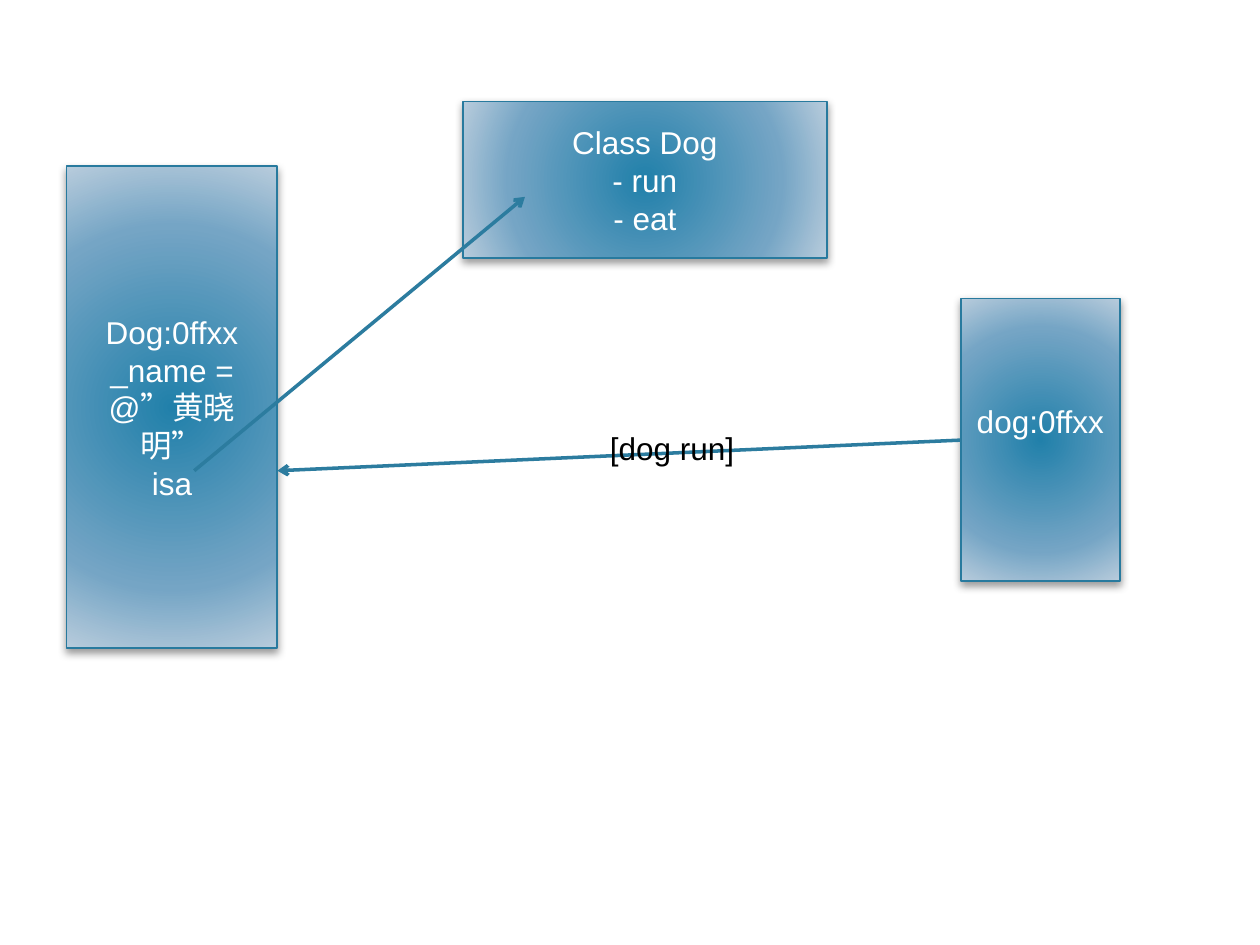
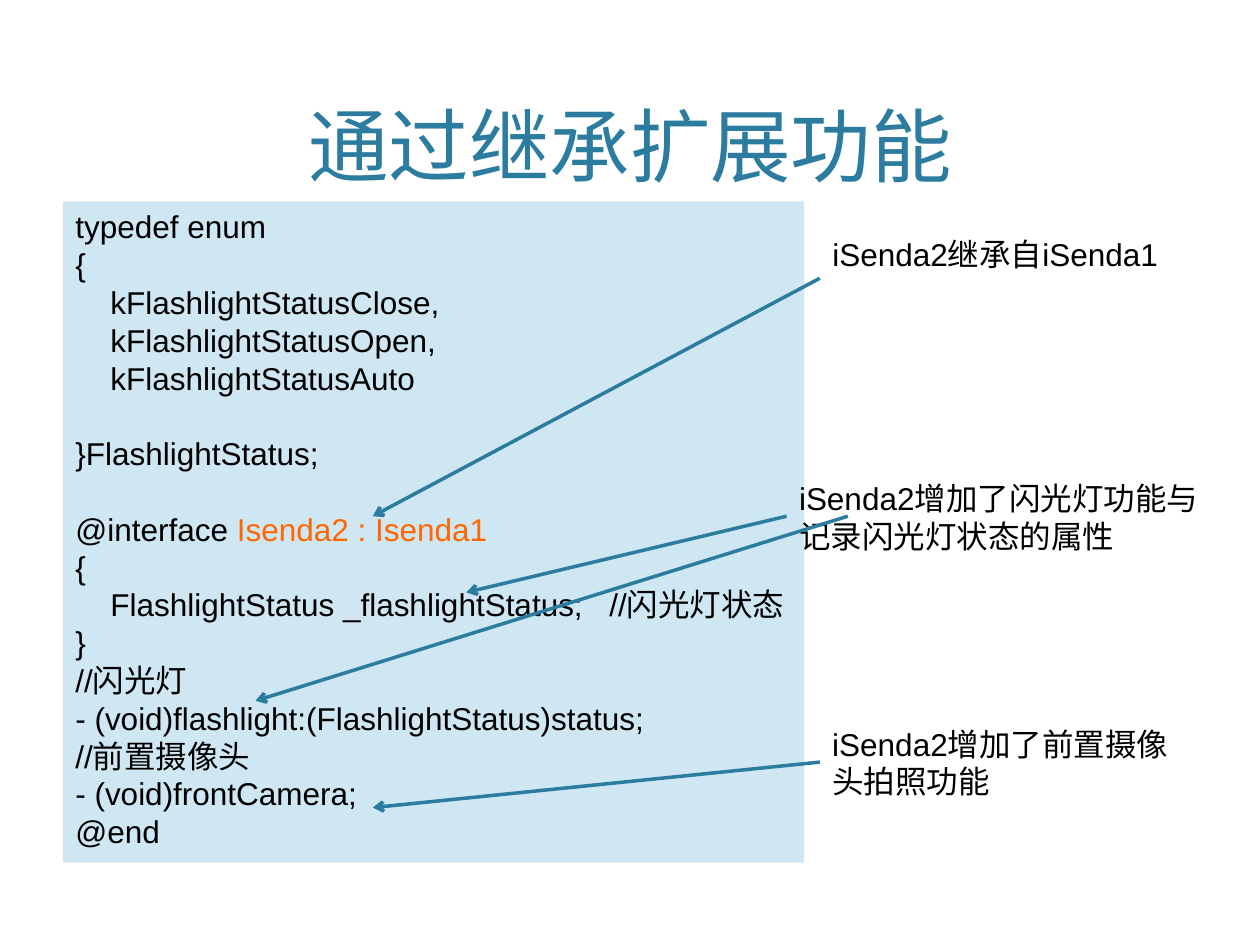
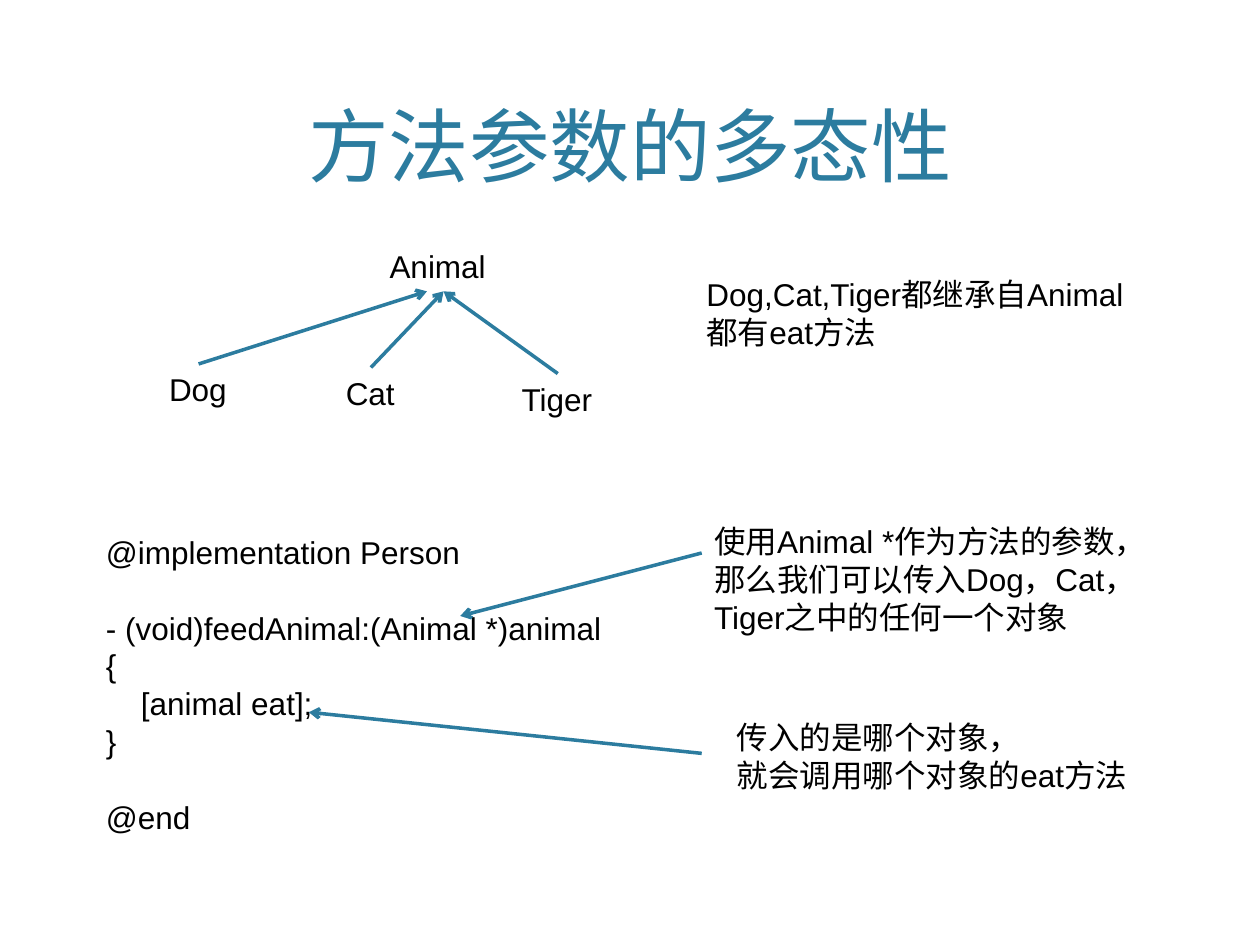
from dataclasses import dataclass

from pptx import Presentation
from pptx.dml.color import RGBColor
from pptx.enum.shapes import MSO_CONNECTOR, MSO_SHAPE
from pptx.enum.text import MSO_ANCHOR, MSO_AUTO_SIZE, PP_ALIGN
from pptx.oxml import parse_xml
from pptx.oxml.ns import nsdecls
from pptx.oxml.xmlchemy import OxmlElement
from pptx.util import Pt

# Shared style
FONT = "Arial"
TEXT_SIZE = 18
TITLE_SIZE = 46
LINE_HEIGHT = 21.6
CODE_INDENT = 20
COMMENT_GAP = 10

BLACK = RGBColor(0x00, 0x00, 0x00)
WHITE = RGBColor(0xFF, 0xFF, 0xFF)
TEAL = RGBColor(0x2C, 0x7C, 0x9F)
BOX_EDGE = RGBColor(0x28, 0x7A, 0x9E)
PANEL = RGBColor(0xCF, 0xE7, 0xF2)
ORANGE = RGBColor(0xFF, 0x66, 0x00)
GLOW = ((0, RGBColor(0x21, 0x80, 0xAA)),
        (69, RGBColor(0x75, 0xA5, 0xC5)),
        (100, RGBColor(0xB8, 0xCC, 0xDC)))

TITLE_ONLY, BLANK = 5, 6


@dataclass
class Line:
    """One paragraph; gap leaves the height of a line above it."""
    text: str
    accent: str = ""
    comment: str = ""
    indented: bool = False
    gap: bool = False


def add_run(para, text, color, size=TEXT_SIZE):
    span = para.add_run()
    span.text = text
    span.font.name = FONT
    span.font.size = Pt(size)
    span.font.color.rgb = color
    return span


def add_lines(frame, lines, color=BLACK, align=PP_ALIGN.LEFT):
    for number, line in enumerate(lines):
        if isinstance(line, str):
            line = Line(line)
        para = frame.add_paragraph() if number else frame.paragraphs[0]
        para.alignment = align
        para.line_spacing = Pt(LINE_HEIGHT)
        if line.gap:
            para.space_before = Pt(LINE_HEIGHT)
        if line.indented:
            properties = para._p.get_or_add_pPr()
            properties.set("marL", "0")
            properties.set("indent", str(Pt(CODE_INDENT)))
        add_run(para, line.text, color)
        if line.accent:
            add_run(para, line.accent, ORANGE)
        if line.comment:
            # One widened space sets the comment apart
            space = add_run(para, " ", color)
            space._r.get_or_add_rPr().set("spc", str(COMMENT_GAP * 100))
            add_run(para, line.comment, color)


def add_title(page, text):
    title = page.shapes.title
    title.left, title.top = Pt(43), Pt(8.5)
    title.width, title.height = Pt(634), Pt(105)
    title.text_frame.vertical_anchor = MSO_ANCHOR.BOTTOM
    para = title.text_frame.paragraphs[0]
    para.alignment = PP_ALIGN.CENTER
    add_run(para, text, TEAL, TITLE_SIZE)


def add_text(page, left, top, width, height, lines, wrap=True):
    box = page.shapes.add_textbox(Pt(left), Pt(top), Pt(width), Pt(height))
    frame = box.text_frame
    frame.word_wrap = wrap
    frame.auto_size = MSO_AUTO_SIZE.SHAPE_TO_FIT_TEXT
    add_lines(frame, lines)
    return box


def add_object_box(page, left, top, width, height, lines, lift=0):
    box = page.shapes.add_shape(MSO_SHAPE.RECTANGLE, Pt(left), Pt(top),
                                Pt(width), Pt(height))
    box.line.color.rgb = BOX_EDGE
    box.line.width = Pt(1)
    # Radial gradient
    box.fill.background()
    properties = box._element.spPr
    stops = "".join(f'<a:gs pos="{place * 1000}"><a:srgbClr val="{color}"/></a:gs>'
                    for place, color in GLOW)
    gradient = parse_xml(
        f'<a:gradFill {nsdecls("a")} rotWithShape="1"><a:gsLst>{stops}</a:gsLst>'
        '<a:path path="circle"><a:fillToRect l="100000" t="100000" '
        'r="100000" b="100000"/></a:path></a:gradFill>')
    properties.replace(properties.find("{*}noFill"), gradient)
    # Soft shadow below
    box.shadow.inherit = False
    properties.find("{*}effectLst").append(parse_xml(
        f'<a:outerShdw {nsdecls("a")} blurRad="{Pt(5)}" dist="{Pt(2)}" '
        'dir="5400000" rotWithShape="0"><a:srgbClr val="000000">'
        '<a:alpha val="40000"/></a:srgbClr></a:outerShdw>'))
    frame = box.text_frame
    frame.word_wrap = True
    frame.vertical_anchor = MSO_ANCHOR.MIDDLE
    frame.margin_bottom = Pt(3.6 + lift)
    add_lines(frame, lines, WHITE, PP_ALIGN.CENTER)


def add_arrow(page, start, end):
    arrow = page.shapes.add_connector(MSO_CONNECTOR.STRAIGHT,
                                      *map(Pt, start), *map(Pt, end))
    arrow.line.color.rgb = TEAL
    arrow.line.width = Pt(2)
    head = OxmlElement("a:tailEnd")
    head.set("type", "arrow")
    arrow.line._get_or_add_ln().append(head)
    arrow._element.spPr.append(OxmlElement("a:effectLst"))


def build_message_page(deck):
    page = deck.slides.add_slide(deck.slide_layouts[BLANK])
    add_object_box(page, 38, 95, 120.5, 275.5,
                   ["Dog:0ffxx", "_name = @”黄晓明”", "isa"])
    add_object_box(page, 264.5, 58, 208, 89.5, ["Class Dog", "- run", "- eat"])
    add_arrow(page, (111, 269), (300, 112.5))
    add_object_box(page, 549, 170.5, 91, 161.5, ["dog:0ffxx"], lift=LINE_HEIGHT)
    add_arrow(page, (549, 251.5), (158.5, 269))
    add_text(page, 341.5, 241.5, 94, 29, ["[dog run]"], wrap=False)


def build_inheritance_page(deck):
    page = deck.slides.add_slide(deck.slide_layouts[TITLE_ONLY])
    add_title(page, "通过继承扩展功能")
    code = [
        "typedef enum",
        "{",
        Line("kFlashlightStatusClose,", indented=True),
        Line("kFlashlightStatusOpen,", indented=True),
        Line("kFlashlightStatusAuto", indented=True),
        Line("}FlashlightStatus;", gap=True),
        Line("@interface ", accent="Isenda2 : Isenda1", gap=True),
        "{",
        Line("FlashlightStatus _flashlightStatus;", comment="//闪光灯状态",
             indented=True),
        "}",
        "//闪光灯",
        "- (void)flashlight:(FlashlightStatus)status;",
        "//前置摄像头",
        "- (void)frontCamera;",
        "@end",
    ]
    panel = add_text(page, 36, 115, 423.5, 378, code)
    panel.text_frame.margin_right = 0
    panel.fill.solid()
    panel.fill.fore_color.rgb = PANEL

    # Remarks beside the code
    add_text(page, 468.5, 130.5, 206.5, 29, ["iSenda2继承自iSenda1"])
    add_text(page, 468.5, 410.5, 215.5, 51, ["iSenda2增加了前置摄像头拍照功能"])
    add_text(page, 449.5, 270, 245, 73,
             ["iSenda2增加了闪光灯功能与", "记录闪光灯状态的属性"])
    for start, end in (((468.5, 159), (213, 295)),
                       ((468.5, 435.5), (213, 461.5)),
                       ((449.5, 295), (266.5, 338.5)),
                       ((484.5, 295), (146, 400.5))):
        add_arrow(page, start, end)


def build_polymorphism_page(deck):
    page = deck.slides.add_slide(deck.slide_layouts[TITLE_ONLY])
    add_title(page, "方法参数的多态性")

    # Class tree: each subclass points to its parent
    add_text(page, 215.5, 137.5, 75.5, 29, ["Animal"])
    for name, left, top, width, tip in (("Dog", 89.5, 208, 48, 244),
                                        ("Cat", 190.5, 210, 43, 253.5),
                                        ("Tiger", 291, 213.5, 55.5, 253.5)):
        add_text(page, left, top, width, 29, [name], wrap=False)
        add_arrow(page, (left + width / 2, top), (tip, 166.5))
    add_text(page, 396.5, 153.5, 253.5, 51,
             ["Dog,Cat,Tiger都继承自Animal", "都有eat方法"])

    # Code and its remarks
    add_text(page, 53.5, 301, 310.5, 181.5, [
        "@implementation Person",
        Line("- (void)feedAnimal:(Animal *)animal", gap=True),
        "{",
        Line("[animal eat];", indented=True),
        "}",
        Line("@end", gap=True),
    ])
    add_text(page, 401, 295, 263, 73,
             ["使用Animal *作为方法的参数，那么我们可以传入Dog，Cat，Tiger之中的任何一个对象"])
    add_arrow(page, (401, 316), (263, 352))
    add_text(page, 414, 407, 240, 51,
             ["传入的是哪个对象，", "就会调用哪个对象的eat方法"])
    add_arrow(page, (401, 430.5), (176.5, 407))


def main():
    deck = Presentation()
    deck.slide_width, deck.slide_height = Pt(720), Pt(540)
    build_message_page(deck)
    build_inheritance_page(deck)
    build_polymorphism_page(deck)
    deck.save("out.pptx")


if __name__ == "__main__":
    main()
